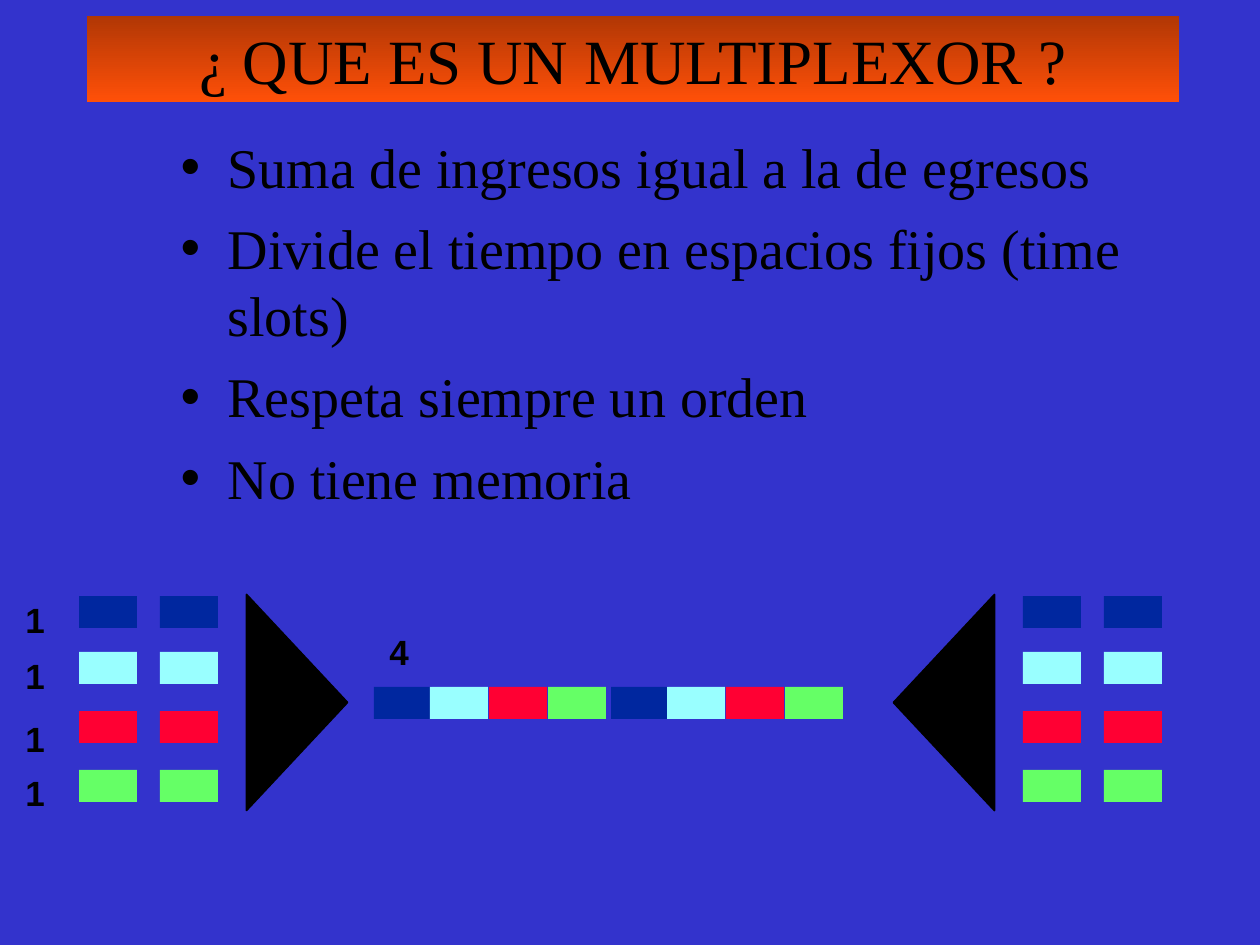
from lxml import etree
from pptx import Presentation
from pptx.dml.color import RGBColor
from pptx.enum.shapes import MSO_SHAPE
from pptx.enum.text import MSO_ANCHOR, MSO_AUTO_SIZE, PP_ALIGN
from pptx.oxml.ns import qn
from pptx.util import Pt

RECTANGLE, TRIANGLE = MSO_SHAPE.RECTANGLE, MSO_SHAPE.ISOSCELES_TRIANGLE
TOP, CENTER, NO_FIT = MSO_ANCHOR.TOP, PP_ALIGN.CENTER, MSO_AUTO_SIZE.NONE

# Content
TITLE = "¿ QUE ES UN MULTIPLEXOR ?"
POINTS = [
    "Suma de ingresos igual a la de egresos",
    "Divide el tiempo en espacios fijos (time slots)",
    "Respeta siempre un orden",
    "No tiene memoria",
]
RATE_LABELS = [  # text, left, top
    ("1", 13, 592), ("4", 377, 624), ("1", 13, 648), ("1", 13, 711), ("1", 13, 765),
]

# Colours
BACKGROUND = RGBColor(0x33, 0x33, 0xCC)
BLACK = RGBColor(0, 0, 0)
TITLE_DARK = RGBColor(0xB1, 0x37, 0x05)
TITLE_BRIGHT = RGBColor(0xFF, 0x50, 0x08)
CHANNELS = [
    RGBColor(0x00, 0x27, 0x9F),
    RGBColor(0x99, 0xFF, 0xFF),
    RGBColor(0xFF, 0x00, 0x33),
    RGBColor(0x65, 0xFF, 0x66),
]

# Geometry in px
CHANNEL_OFFSETS = [0, 56, 115, 174]
SLOT_W, SLOT_H = 58, 32
INPUT_COLUMNS = [160, 79]
OUTPUT_COLUMNS = [1023, 1104]
COLUMN_TOP = 596
FRAME_STARTS = [374, 611]
LINE_TOP = 687
MUX_TOP, MUX_W, MUX_H = 652, 216, 101


def px(n):
    return round(n * 914400 / 126)


def place(shape, left, top, width, height):
    shape.left, shape.top, shape.width, shape.height = map(px, (left, top, width, height))


def set_font(paragraph, name, size, bold=False):
    font = paragraph.font
    font.name, font.size, font.bold = name, Pt(size), bold
    font.color.rgb = BLACK


def add_solid(kind, left, top, width, height, color):
    shape = slide.shapes.add_shape(kind, *map(px, (left, top, width, height)))
    shape.shadow.inherit = False
    shape.fill.solid()
    shape.fill.fore_color.rgb = color
    shape.line.fill.background()
    return shape


def add_mux(left, rotation):
    mux = add_solid(TRIANGLE, left, MUX_TOP, MUX_W, MUX_H, BLACK)
    mux.rotation = rotation
    mux.line.color.rgb = BLACK
    mux.line.width = Pt(1)


def add_columns(lefts):
    for left in lefts:
        for offset, color in zip(CHANNEL_OFFSETS, CHANNELS):
            add_solid(RECTANGLE, left, COLUMN_TOP + offset, SLOT_W, SLOT_H, color)


prs = Presentation()
prs.slide_width, prs.slide_height = px(1260), px(945)
slide = prs.slides.add_slide(prs.slide_layouts[1])
slide.background.fill.solid()
slide.background.fill.fore_color.rgb = BACKGROUND

# Title band
title = slide.shapes.title
place(title, 87, 16, 1092, 86)
title.fill.gradient()
title.fill.gradient_angle = 270
for stop, color, position in zip(title.fill.gradient_stops, (TITLE_DARK, TITLE_BRIGHT), (0, 1)):
    stop.color.rgb, stop.position = color, position
title.text_frame.text = TITLE
title.text_frame.auto_size = NO_FIT
title.text_frame.paragraphs[0].alignment = CENTER
set_font(title.text_frame.paragraphs[0], "Times New Roman", 36)

# Bullet list
body = slide.placeholders[1]
place(body, 168, 126, 1081, 567)
points_frame = body.text_frame
points_frame.text = "\n".join(POINTS)
points_frame.auto_size, points_frame.vertical_anchor = NO_FIT, TOP
for i, point in enumerate(points_frame.paragraphs):
    props = point._p.get_or_add_pPr()
    props.set("marL", str(px(47)))
    props.set("indent", str(px(-47)))
    bullet_color = etree.SubElement(props, qn("a:buClr"))
    etree.SubElement(bullet_color, qn("a:srgbClr"), val=str(BLACK))
    etree.SubElement(props, qn("a:buChar"), char="•")
    point.space_before = Pt(8 if i else 0)
    set_font(point, "Times New Roman", 32)

# Multiplexers with their input and output channels
add_mux(189, 90)
add_columns(INPUT_COLUMNS)
add_mux(836, 270)
add_columns(OUTPUT_COLUMNS)

# Time slots on the shared line
for start in FRAME_STARTS:
    for offset, color in zip(CHANNEL_OFFSETS, CHANNELS):
        add_solid(RECTANGLE, start + offset, LINE_TOP, SLOT_W, SLOT_H, color)

# Rate labels
for text, left, top in RATE_LABELS:
    label = slide.shapes.add_textbox(*map(px, (left, top, 44, 54))).text_frame
    label.word_wrap = False
    label.text = text
    label.paragraphs[0].alignment = CENTER
    set_font(label.paragraphs[0], "Arial", 20, bold=True)

prs.save("out.pptx")
